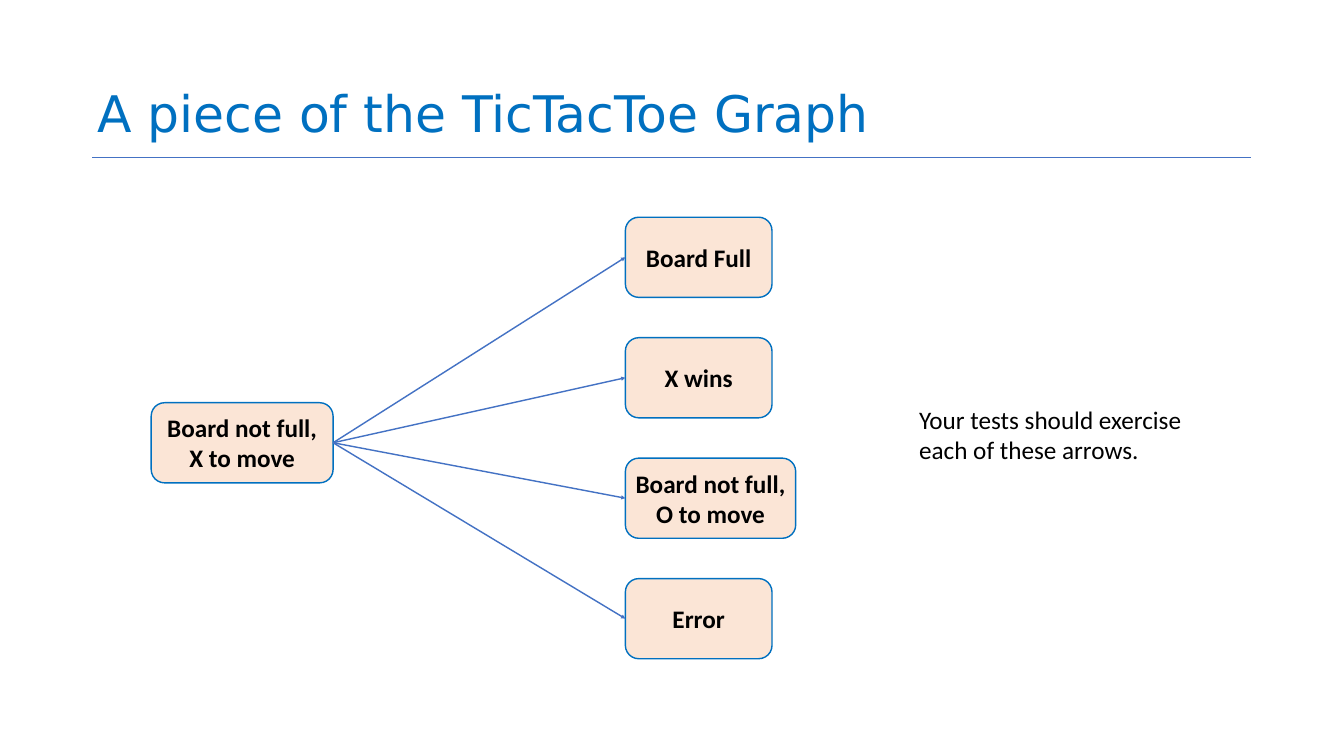
from lxml.etree import SubElement
from pptx import Presentation
from pptx.dml.color import RGBColor
from pptx.enum.shapes import MSO_CONNECTOR, MSO_SHAPE
from pptx.enum.text import MSO_ANCHOR, MSO_AUTO_SIZE, PP_ALIGN
from pptx.oxml.ns import qn
from pptx.util import Inches, Pt

BLUE, ARROW_BLUE, PEACH, BLACK = "0070C0", "4472C4", "FBE5D6", "000000"
TITLE_FORMAT = {"name": "DejaVu Sans", "size": Pt(72)}
BODY_FORMAT = {"name": "Calibri", "size": Pt(36)}
STATE_FORMAT = {**BODY_FORMAT, "bold": True}

STATE_HEIGHT = 1.59
OUTCOME_LEFT, OUTCOME_TOP, OUTCOME_PITCH = 12.41, 4.31, 2.39
OUTCOMES = [
    ("Board Full", 2.91),
    ("X wins", 2.91),
    ("Board not full, O to move", 3.38),
    ("Error", 2.91),
]


def color(hex_value):
    return RGBColor.from_string(hex_value)


def write_text(shape, text, font_format, font_color, anchor):
    frame = shape.text_frame
    frame.word_wrap = True
    frame.vertical_anchor = anchor
    paragraph = frame.paragraphs[0]
    run = paragraph.add_run()
    run.text = text
    for name, value in font_format.items():
        setattr(run.font, name, value)
    run.font.color.rgb = color(font_color)
    return paragraph


def add_text(slide, bounds, text, font_format, font_color, anchor):
    shape = slide.shapes.add_textbox(*map(Inches, bounds))
    for side in ("left", "top", "right", "bottom"):
        setattr(shape.text_frame, f"margin_{side}", Inches(0.1))
    paragraph = write_text(shape, text, font_format, font_color, anchor)
    return shape, paragraph


def add_state(slide, left, top, width, text):
    bounds = map(Inches, (left, top, width, STATE_HEIGHT))
    shape = slide.shapes.add_shape(MSO_SHAPE.ROUNDED_RECTANGLE, *bounds)
    shape.shadow.inherit = False
    shape.fill.solid()
    shape.fill.fore_color.rgb = color(PEACH)
    shape.line.color.rgb = color(BLUE)
    shape.line.width = Pt(2)
    paragraph = write_text(shape, text, STATE_FORMAT, BLACK, MSO_ANCHOR.MIDDLE)
    paragraph.alignment = PP_ALIGN.CENTER
    return shape


def add_line(slide, start, end, width):
    points = map(Inches, (*start, *end))
    line = slide.shapes.add_connector(MSO_CONNECTOR.STRAIGHT, *points)
    line.line.color.rgb = color(ARROW_BLUE)
    line.line.width = Pt(width)
    SubElement(line._element.spPr, qn("a:effectLst"))
    return line


def add_transition(slide, source, target):
    """Draw an arrow from the right side of source to the left side of target."""
    arrow = add_line(slide, (0, 0), (1, 1), 2)
    arrow.begin_connect(source, 3)
    arrow.end_connect(target, 1)
    SubElement(arrow.line._get_or_add_ln(), qn("a:tailEnd"), type="triangle")


def main():
    presentation = Presentation()
    presentation.slide_width = Inches(26.67)
    presentation.slide_height = Inches(15)
    slide = presentation.slides.add_slide(presentation.slide_layouts[6])

    add_line(slide, (1.83, 3.13), (24.83, 3.13), 1)
    _, title = add_text(slide, (1.83, 0.04, 23, 2.9), "A piece of the TicTacToe Graph",
                        TITLE_FORMAT, BLUE, MSO_ANCHOR.BOTTOM)
    title.line_spacing = 0.9

    start_state = add_state(slide, 3, 7.99, 3.61, "Board not full, X to move")
    for index, (text, width) in enumerate(OUTCOMES):
        top = OUTCOME_TOP + index * OUTCOME_PITCH
        outcome = add_state(slide, OUTCOME_LEFT, top, width, text)
        add_transition(slide, start_state, outcome)

    note, _ = add_text(slide, (18.14, 7.92, 5.96, 1.41),
                       "Your tests should exercise each of these arrows.",
                       BODY_FORMAT, BLACK, MSO_ANCHOR.TOP)
    note.text_frame.auto_size = MSO_AUTO_SIZE.SHAPE_TO_FIT_TEXT

    presentation.save("out.pptx")


if __name__ == "__main__":
    main()
